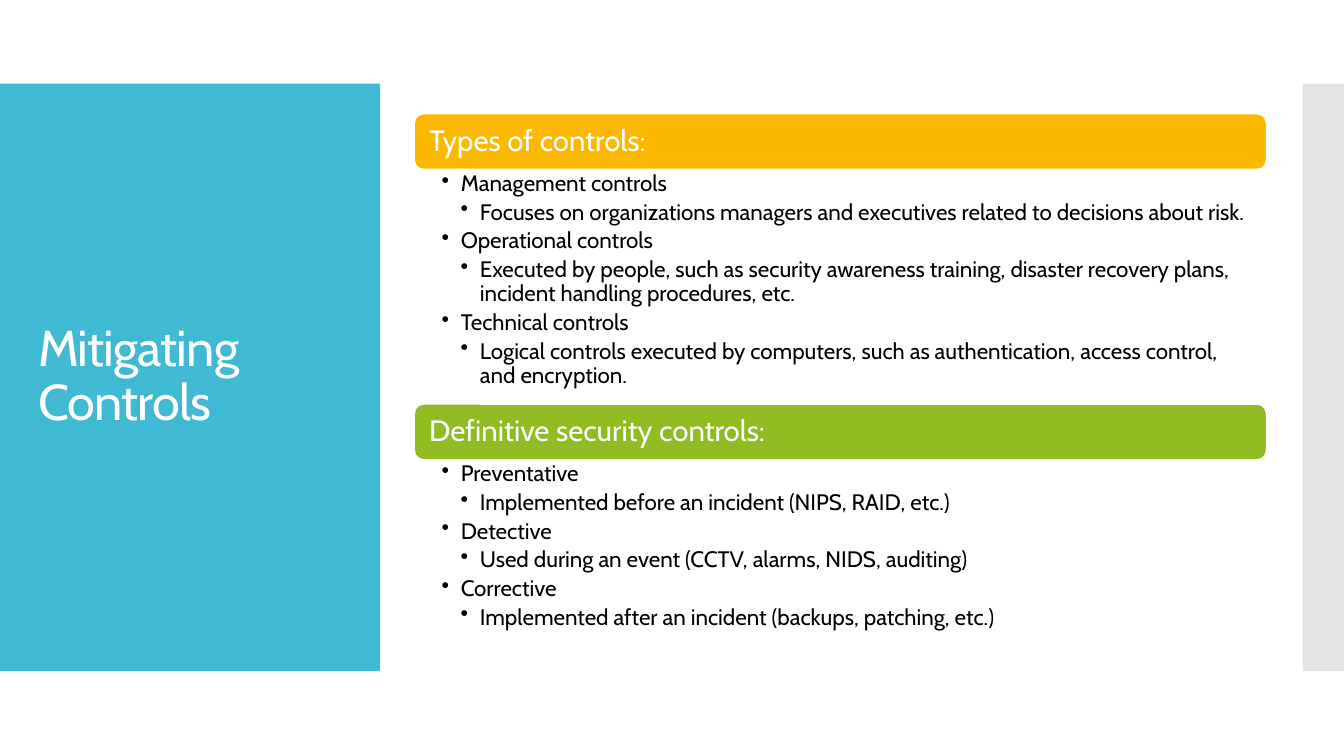
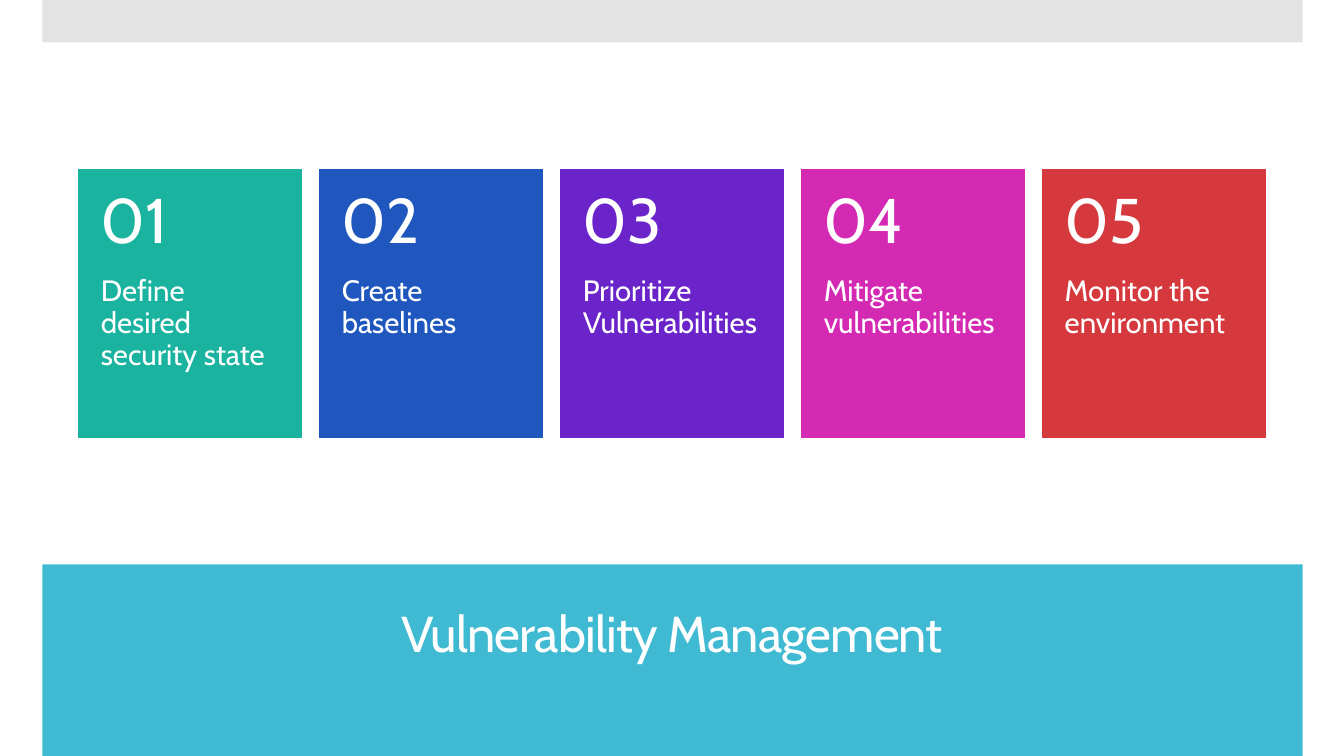
from dataclasses import dataclass
from typing import NamedTuple

from lxml import etree
from pptx import Presentation
from pptx.dml.color import RGBColor
from pptx.enum.shapes import MSO_SHAPE
from pptx.enum.text import MSO_ANCHOR, PP_ALIGN
from pptx.oxml.ns import qn
from pptx.util import Inches, Pt

RECT = MSO_SHAPE.RECTANGLE
ROUND_RECT = MSO_SHAPE.ROUNDED_RECTANGLE
TOP, MIDDLE = MSO_ANCHOR.TOP, MSO_ANCHOR.MIDDLE
LEFT, CENTER = PP_ALIGN.LEFT, PP_ALIGN.CENTER

# Shared style
FONT = "Cabin"
LINE_SPACING = 0.9
BORDER = 0.85
COLORS = {
    "white": "FFFFFF", "black": "000000", "band": "40BAD2", "grey": "C8C8C8",
    "amber": "FAB900", "green": "90BB23", "teal": "1AB39F", "blue": "1F57BF",
    "purple": "6A24CA", "magenta": "D429B3", "red": "D5393D",
}


class Box(NamedTuple):
    left: float
    top: float
    width: float
    height: float


class Insets(NamedTuple):
    left: float = 0.1
    top: float = 0.05
    right: float = 0.1
    bottom: float = 0.05


@dataclass(frozen=True)
class Section:
    heading: str
    color: str
    top: float
    body_height: float
    items: tuple[tuple[str, str], ...]


@dataclass(frozen=True)
class Step:
    label: str
    color: str


SECTIONS = (
    Section("Types of controls:", "amber", 1.13, 2.33, (
        ("Management controls",
         "Focuses on organizations managers and executives related to decisions about risk."),
        ("Operational controls",
         "Executed by people, such as security awareness training, disaster recovery plans, "
         "incident handling procedures, etc."),
        ("Technical controls",
         "Logical controls executed by computers, such as authentication, access control, "
         "and encryption."),
    )),
    Section("Definitive security controls:", "green", 4.01, 1.81, (
        ("Preventative", "Implemented before an incident (NIPS, RAID, etc.)"),
        ("Detective", "Used during an event (CCTV, alarms, NIDS, auditing)"),
        ("Corrective", "Implemented after an incident (backups, patching, etc.)"),
    )),
)
STEPS = (
    Step("Define desired security state", "teal"),
    Step("Create baselines", "blue"),
    Step("Prioritize Vulnerabilities", "purple"),
    Step("Mitigate vulnerabilities", "magenta"),
    Step("Monitor the environment", "red"),
)


def rgb(name: str) -> RGBColor:
    return RGBColor.from_string(COLORS[name])


def add_block(slide, box: Box, fill: str, line: str | None = None,
              shape=RECT, alpha: int | None = None):
    sp = slide.shapes.add_shape(shape, *map(Inches, box))
    sp.shadow.inherit = False
    sp.fill.solid()
    sp.fill.fore_color.rgb = rgb(fill)
    if alpha is not None:
        color = sp.fill._xPr.find(qn("a:solidFill"))[0]
        etree.SubElement(color, qn("a:alpha")).set("val", str(alpha * 1000))
    if line:
        sp.line.color.rgb = rgb(line)
        sp.line.width = Pt(BORDER)
    else:
        sp.line.fill.background()
    return sp


def set_frame(sp, insets: Insets, anchor):
    tf = sp.text_frame
    tf.word_wrap = True
    tf.vertical_anchor = anchor
    tf.margin_left, tf.margin_top, tf.margin_right, tf.margin_bottom = map(Inches, insets)
    return tf


def format_paragraph(p, size: float, color: str, align=LEFT) -> None:
    p.alignment = align
    p.line_spacing = LINE_SPACING
    for r in p.runs:
        r.font.name = FONT
        r.font.size = Pt(size)
        r.font.color.rgb = rgb(color)


def put_text(sp, text: str, size: float, insets: Insets = Insets(),
             anchor=MIDDLE, align=LEFT):
    tf = set_frame(sp, insets, anchor)
    tf.text = text
    p = tf.paragraphs[0]
    format_paragraph(p, size, "white", align)
    return p


def add_text(slide, box: Box, *args, **kwargs):
    return put_text(slide.shapes.add_textbox(*map(Inches, box)), *args, **kwargs)


def add_frame(slide, title: str, band: Box, accent: Box, title_box: Box, align) -> None:
    """Coloured title band, pale accent bar and the title."""
    add_block(slide, band, "band")
    add_block(slide, accent, "grey", alpha=50)
    p = add_text(slide, title_box, title, 36, align=align)
    p.runs[0].font._element.set("spc", "-60")


def set_bullet(p, level: int, indent: float = 0.19) -> None:
    pPr = p._p.get_or_add_pPr()
    pPr.set("marL", str(Inches(indent * level)))
    pPr.set("indent", str(-Inches(indent)))
    etree.SubElement(pPr, qn("a:buChar")).set("char", "•")


def add_section(slide, section: Section) -> None:
    left, width, bar_height = 4.11, 8.45, 0.55
    bar = add_block(slide, Box(left, section.top, width, bar_height),
                    section.color, "white", ROUND_RECT)
    put_text(bar, section.heading, 21, Insets(0.12, 0.09, 0.12, 0.09))

    body = Box(left, section.top + bar_height, width, section.body_height)
    sp = slide.shapes.add_textbox(*map(Inches, body))
    tf = set_frame(sp, Insets(0.27, 0.03, 0.16, 0.03), TOP)
    lines = [(text, level) for item in section.items
             for level, text in enumerate(item, start=1)]
    for i, (text, level) in enumerate(lines):
        p = tf.add_paragraph() if i else tf.paragraphs[0]
        p.text = text
        p.level = level
        format_paragraph(p, 16, "black")
        p.space_after = Pt(3.2)
        set_bullet(p, level)


def add_step(slide, index: int, step: Step) -> None:
    left, top, width, height = 0.78 + index * 2.39, 1.68, 2.21, 2.66
    number_height = 1.06
    add_block(slide, Box(left, top, width, height), step.color, step.color)
    add_text(slide, Box(left, top + number_height, width, height - number_height),
             step.label, 21, Insets(0.22, 0, 0.22, 0.36), TOP)
    add_text(slide, Box(left, top, width, number_height),
             f"{index + 1:02d}", 45, Insets(0.22, 0.18, 0.22, 0.18))


def main() -> None:
    prs = Presentation()
    prs.slide_width, prs.slide_height = Inches(13.33), Inches(7.5)
    blank = prs.slide_layouts[6]

    # Mitigating controls
    s = prs.slides.add_slide(blank)
    add_frame(s, "Mitigating Controls", Box(0, 0.83, 3.77, 5.83),
              Box(12.92, 0.83, 0.41, 5.83), Box(0.28, 1.23, 3.22, 5.03), LEFT)
    for section in SECTIONS:
        add_section(s, section)

    # Vulnerability management
    s = prs.slides.add_slide(blank)
    add_frame(s, "Vulnerability Management", Box(0.42, 5.6, 12.5, 1.9),
              Box(0.42, 0, 12.5, 0.42), Box(0.7, 5.75, 11.93, 1.12), CENTER)
    for i, step in enumerate(STEPS):
        add_step(s, i, step)

    prs.save("out.pptx")


if __name__ == "__main__":
    main()
